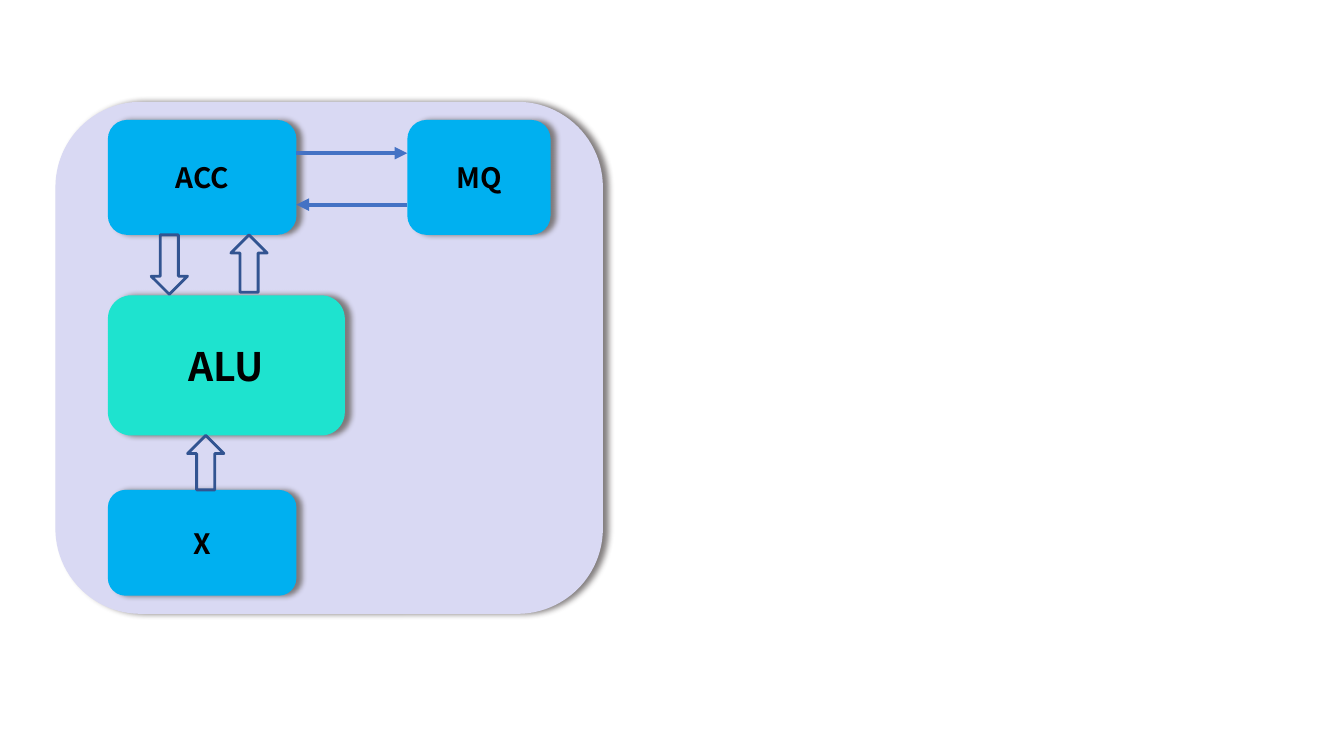
from dataclasses import dataclass
from lxml.etree import SubElement
from pptx import Presentation
from pptx.dml.color import RGBColor
from pptx.enum.shapes import MSO_CONNECTOR, MSO_SHAPE
from pptx.enum.text import MSO_ANCHOR, PP_ALIGN
from pptx.oxml.ns import qn
from pptx.util import Inches, Pt


@dataclass(frozen=True)
class Theme:
    font: str = "Noto Sans CJK SC"
    panel: str = "D9D9F3"
    alu: str = "1EE3CF"
    register: str = "00B0F0"
    text: str = "000000"
    shadow: str = "767171"
    link: str = "4472C4"
    outline: str = "325491"
    large: int = 28
    normal: int = 20


T = Theme()
LEFT, REG_W = 1.07, 1.87
ACC_TOP, ACC_H = 1.19, 1.14
ALU_TOP, ALU_H = 2.93, 1.39
X_TOP, MQ_LEFT = 4.86, 4.04
ACC_RIGHT, ACC_BOTTOM = LEFT + REG_W, ACC_TOP + ACC_H
ALU_BOTTOM = ALU_TOP + ALU_H
ARROW_W = 0.36

BOXES = [
    ("", (0.55, 1.01, 5.43, 5.08), T.panel, T.normal),
    ("ALU", (LEFT, ALU_TOP, 2.35, ALU_H), T.alu, T.large),
    ("ACC", (LEFT, ACC_TOP, REG_W, ACC_H), T.register, T.normal),
    ("MQ", (MQ_LEFT, ACC_TOP, 1.42, ACC_H), T.register, T.normal),
    ("X", (LEFT, X_TOP, REG_W, 1.05), T.register, T.normal),
]
LINKS = [(ACC_RIGHT, MQ_LEFT, 1.52), (MQ_LEFT, ACC_RIGHT, 2.03)]
BLOCK_ARROWS = [
    (1.5, ACC_BOTTOM, 0.59, 0),
    (2.29, ACC_BOTTOM, 0.57, 180),
    (1.86, ALU_BOTTOM, X_TOP - ALU_BOTTOM, 180),
]


def color(value):
    return RGBColor.from_string(value)


def add_shadow(s):
    s.shadow.inherit = False
    effects = s._element.spPr.find(qn("a:effectLst"))
    shadow = SubElement(effects, qn("a:outerShdw"), blurRad=str(Pt(4)),
                        dist=str(Pt(4)), dir="0", algn="l", rotWithShape="0")
    tint = SubElement(shadow, qn("a:srgbClr"), val=T.shadow)
    SubElement(tint, qn("a:alpha"), val="90000")


def write(s, text, *, size, bold=True, fill=T.text, align=PP_ALIGN.CENTER):
    tf = s.text_frame
    tf.vertical_anchor = MSO_ANCHOR.MIDDLE
    p = tf.paragraphs[0]
    p.alignment = align
    r = p.add_run()
    r.text = text
    r.font.name, r.font.size, r.font.bold = T.font, Pt(size), bold
    r.font.color.rgb = color(fill)


def add_box(shapes, text, place, fill, size):
    s = shapes.add_shape(MSO_SHAPE.ROUNDED_RECTANGLE, *map(Inches, place))
    s.fill.solid()
    s.fill.fore_color.rgb = color(fill)
    s.line.fill.background()
    add_shadow(s)
    if text:
        write(s, text, size=size)


def add_link(shapes, start, end, y):
    s = shapes.add_connector(MSO_CONNECTOR.STRAIGHT, *map(Inches, (start, y, end, y)))
    s.line.color.rgb = color(T.link)
    s.line.width = Pt(3)
    SubElement(s.line._get_or_add_ln(), qn("a:tailEnd"), type="triangle")
    SubElement(s._element.spPr, qn("a:effectLst"))


def add_block_arrow(shapes, left, top, height, rotation):
    s = shapes.add_shape(MSO_SHAPE.DOWN_ARROW, *map(Inches, (left, top, ARROW_W, height)))
    s.rotation = rotation
    s.fill.background()
    s.line.color.rgb = color(T.outline)
    s.line.width = Pt(2)
    s.shadow.inherit = False


prs = Presentation()
prs.slide_width, prs.slide_height = Inches(13.33), Inches(7.5)
slide = prs.slides.add_slide(prs.slide_layouts[6])
group = slide.shapes.add_group_shape()
for box in BOXES:
    add_box(group.shapes, *box)
for link in LINKS:
    add_link(slide.shapes, *link)
for arrow in BLOCK_ARROWS:
    add_block_arrow(slide.shapes, *arrow)
prs.save("out.pptx")
